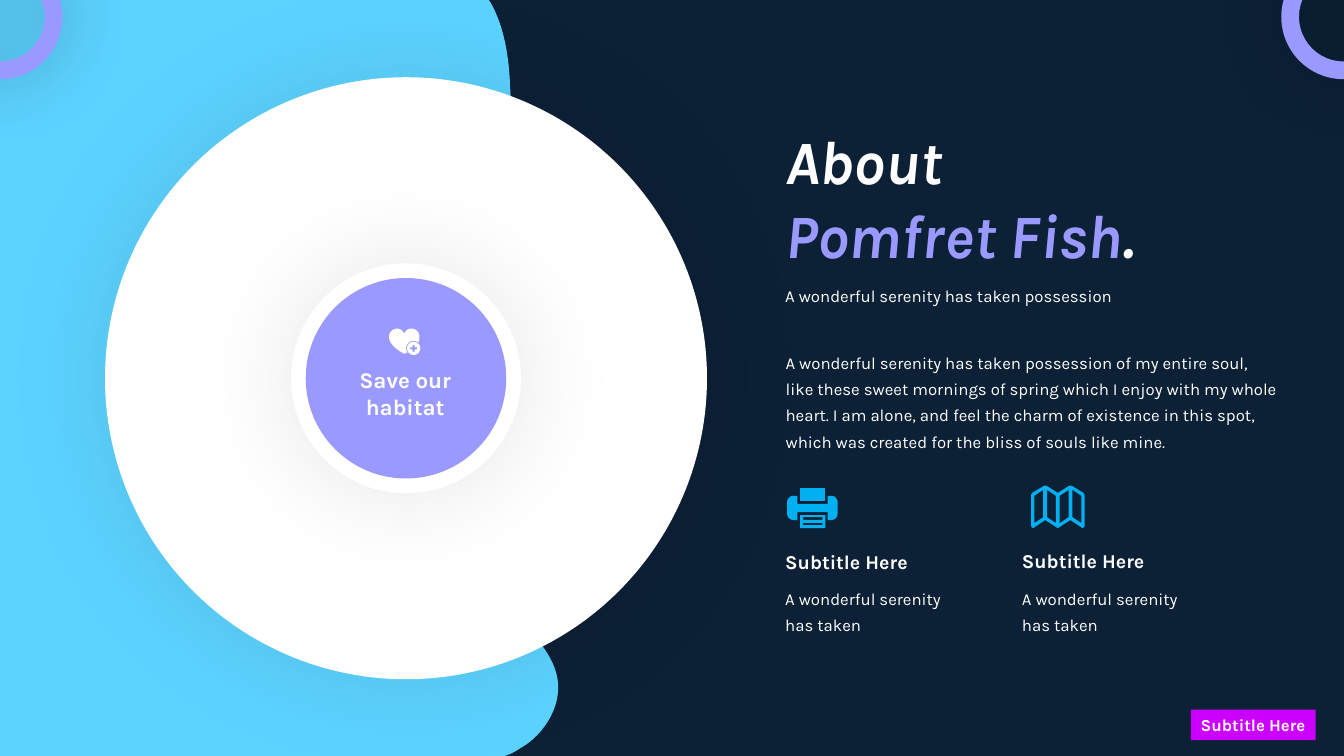
import dataclasses
import math

import pptx
import pptx.dml.color
import pptx.enum.shapes
import pptx.enum.text
import pptx.oxml.ns
import pptx.util
from lxml import etree

Point = tuple[float, float]
Loop = list[Point]

NAVY, SKY, WHITE = "0C2036", "5CD3FF", "FFFFFF"
LILAC, AZURE, MAGENTA = "9999FF", "00B0F0", "CC00FF"
KINDS = pptx.enum.shapes.MSO_SHAPE


@dataclasses.dataclass(frozen=True)
class Shadow:
    opacity: int
    blur: float


@dataclasses.dataclass(frozen=True)
class Figure:
    kind: pptx.enum.shapes.MSO_SHAPE
    left: float
    top: float
    width: float
    height: float
    fill: str
    shadow: Shadow | None = None
    adjustment: float | None = None


@dataclasses.dataclass(frozen=True)
class Span:
    text: str
    color: str = WHITE


@dataclasses.dataclass(frozen=True)
class Caption:
    left: float
    top: float
    width: float
    height: float
    paras: list[list[Span]]
    size: float = 12
    bold: bool = False
    italic: bool = False
    spacing: float | None = None
    centered: bool = False


@dataclasses.dataclass(frozen=True)
class Outline:
    fill: str
    loops: list[Loop]


def rgb(color: str) -> pptx.dml.color.RGBColor:
    return pptx.dml.color.RGBColor.from_string(color)


def curve(start: Point, *steps: tuple[float, ...]) -> Loop:
    points = [start]
    for ax, ay, bx, by, ex, ey in steps:
        sx, sy = points[-1]
        for i in range(1, 17):
            t = i / 16
            u = 1 - t
            points.append((
                u**3 * sx + 3 * u * u * t * ax + 3 * u * t * t * bx + t**3 * ex,
                u**3 * sy + 3 * u * u * t * ay + 3 * u * t * t * by + t**3 * ey,
            ))
    return points


def arc(x: float, y: float, radius: float, first: float, last: float) -> Loop:
    angles = [math.radians(first + (last - first) * i / 24) for i in range(25)]
    return [(x + radius * math.cos(a), y + radius * math.sin(a)) for a in angles]


def rectangle(left: float, top: float, right: float, bottom: float) -> Loop:
    return [(left, top), (right, top), (right, bottom), (left, bottom)]


def wave() -> Outline:
    edge = curve(
        (364.3, 538.6),
        (366.5, 537.8, 368.6, 536.4, 370.8, 535),
        (389.5, 524.9, 403.2, 501.8, 397.4, 481),
        (391.7, 459.4, 369.4, 445.7, 367.9, 424.1),
        (366.5, 401, 386.6, 384.5, 402.5, 368.6),
        (416.2, 354.2, 427, 335.5, 429.8, 314.6),
        (433.4, 293.8, 429.1, 272.2, 417.6, 255.6),
        (402.5, 235.4, 377.3, 225.4, 365.8, 203.8),
        (352.1, 179.3, 358.6, 149, 362.2, 120.2),
        (364.3, 100.8, 365.8, 79.9, 364.3, 60.5),
        (363.6, 40.3, 360, 18.7, 350.6, 2.2),
    )
    return Outline(SKY, [[(349.2, 0), (0, 0), (0, 540), (360.7, 540), *edge]])


def printer() -> list[Outline]:
    center = 580.3
    half = [(569.5, 360), (569.5, 354.2), *arc(566.8, 358.7, 4.5, 270, 180),
            *arc(566.8, 367, 4.5, 180, 90), (569.5, 371.5), (569.5, 365.8)]
    body = half + [(2 * center - x, y) for x, y in reversed(half)]
    tray = [rectangle(571.5, 367.9, 589.5, 377.3),
            rectangle(573.6, 369.4, 587.4, 371.3), rectangle(573.6, 373.5, 587.4, 375.2)]
    return [Outline(AZURE, tray), Outline(AZURE, [rectangle(571.5, 348.5, 589.5, 357.8)]),
            Outline(AZURE, [body])]


def folded_map() -> Outline:
    loops = [[(736.6, 353.5), (737.3, 352.1), (745.9, 346.9), (747.4, 346.9), (755.6, 352.1),
              (763.9, 346.9), (765.4, 346.9), (774, 352.1), (774.7, 353.5), (774.7, 376),
              (773.3, 377.3), (764.6, 371.5), (755.6, 377.3), (746.6, 371.5), (738, 377.3),
              (736.6, 376)]]
    for i in range(4):
        left = 738.8 + 9.1 * i
        first, last = (354.2, 349.9) if i % 2 == 0 else (349.9, 354.2)
        loops.append([(left, first), (left + 6.4, last), (left + 6.4, last + 19.5),
                      (left, first + 19.5)])
    return Outline(AZURE, loops)


def heart() -> list[Outline]:
    x, y, arm, bar = 295.5, 248.8, 2.5, 0.7
    plus = [(x - bar, y - arm), (x + bar, y - arm), (x + bar, y - bar), (x + arm, y - bar),
            (x + arm, y + bar), (x + bar, y + bar), (x + bar, y + arm), (x - bar, y + arm),
            (x - bar, y + bar), (x - arm, y + bar), (x - arm, y - bar), (x - bar, y - bar)]
    left_side = curve((288.7, 238.3), (287.5, 236, 286, 234.7, 283.8, 234.7),
                      (280.6, 234.7, 277.9, 237.2, 277.9, 240.5),
                      (277.9, 245.5, 283, 249.5, 288.7, 252.7))
    right_side = curve((298.8, 244.8), (299.5, 243.5, 299.6, 242, 299.6, 240.5),
                       (299.6, 237.2, 297, 234.7, 293.6, 234.7),
                       (291.4, 234.7, 289.9, 236, 288.7, 238.3))
    return [Outline(WHITE, [arc(x, y, 4.75, 0, 360), plus]),
            Outline(WHITE, [left_side + arc(x, y, 5.4, 147, 309) + right_side])]


def paint(shape, fill: str, shadow: Shadow | None = None) -> None:
    shape.shadow.inherit = False
    shape.fill.solid()
    shape.fill.fore_color.rgb = rgb(fill)
    shape.line.fill.background()
    if shadow:
        qn = pptx.oxml.ns.qn
        effects = shape._element.spPr.find(qn("a:effectLst"))
        outer = etree.SubElement(effects, qn("a:outerShdw"), dist="0", dir="0", algn="ctr",
                                 rotWithShape="0", blurRad=str(pptx.util.Pt(shadow.blur)))
        tint = etree.SubElement(outer, qn("a:srgbClr"), val="000000")
        etree.SubElement(tint, qn("a:alpha"), val=str(shadow.opacity * 1000))


def draw_outline(page, outline: Outline) -> None:
    loops = [[(pptx.util.Pt(x), pptx.util.Pt(y)) for x, y in loop] for loop in outline.loops]
    builder = page.shapes.build_freeform(*loops[0][0])
    for i, loop in enumerate(loops):
        if i:
            builder.move_to(*loop[0])
        builder.add_line_segments(loop[1:], close=True)
    paint(builder.convert_to_shape(), outline.fill)


def place(item: Figure | Caption) -> list[pptx.util.Pt]:
    return [pptx.util.Pt(v) for v in (item.left, item.top, item.width, item.height)]


def draw_figure(page, figure: Figure):
    shape = page.shapes.add_shape(figure.kind, *place(figure))
    if figure.adjustment is not None:
        shape.adjustments[0] = figure.adjustment
    paint(shape, figure.fill, figure.shadow)
    return shape


def write(box, caption: Caption, wrap: bool = True) -> None:
    frame = box.text_frame
    frame.word_wrap = wrap
    frame.auto_size = pptx.enum.text.MSO_AUTO_SIZE.SHAPE_TO_FIT_TEXT
    align = pptx.enum.text.PP_ALIGN
    for i, spans in enumerate(caption.paras):
        para = frame.add_paragraph() if i else frame.paragraphs[0]
        para.alignment = align.CENTER if caption.centered else align.LEFT
        para.line_spacing = caption.spacing
        for span in spans:
            run = para.add_run()
            run.text = span.text
            formats = {"name": "Karla", "size": pptx.util.Pt(caption.size),
                       "bold": caption.bold, "italic": caption.italic}
            for name, value in formats.items():
                setattr(run.font, name, value)
            run.font.color.rgb = rgb(span.color)


def main() -> None:
    deck = pptx.Presentation()
    deck.slide_width, deck.slide_height = pptx.util.Pt(960), pptx.util.Pt(540)
    page = deck.slides.add_slide(deck.slide_layouts[6])
    page.background.fill.solid()
    page.background.fill.fore_color.rgb = rgb(NAVY)

    glow = Shadow(9, 77)
    discs = [(75, 55.2, 430, WHITE, glow), (207.9, 188.1, 164.2, WHITE, glow),
             (218.4, 198.6, 143.2, LILAC, None)]
    rings = [Figure(KINDS.DONUT, left, -32.6, 89.2, 89.2, LILAC, Shadow(33, 49), 0.142)
             for left in (-44.6, 915.2)]
    intro = "A wonderful serenity has taken possession"
    story = (intro + " of my entire soul, like these sweet mornings of spring which I enjoy with"
             " my whole heart. I am alone, and feel the charm of existence in this spot, which was"
             " created for the bliss of souls like mine.")
    subtitle = [[Span("Subtitle Here")]]
    title = [[Span("About")], [Span("Pomfret Fish", LILAC), Span(".")]]
    captions = [
        Caption(553.8, 84.2, 375.8, 113.8, title, 44, True, True),
        Caption(553.8, 193.7, 318.2, 26.6, [[Span(intro)]], spacing=1.5),
        Caption(554.1, 244.1, 366.5, 82.8, [[Span(story)]], spacing=1.3),
        Caption(223.2, 257.8, 132.5, 46.1, [[Span("Save our habitat")]], 16, True, centered=True),
    ]
    for left, top in ((553.8, 389.1), (722.9, 388.5)):
        captions.append(Caption(left, top, 115.2, 24.5, subtitle, 14, True))
        captions.append(Caption(left, 412.6, 131.8, 43.2,
                                [[Span("A wonderful serenity has taken")]], spacing=1.3))

    draw_outline(page, wave())
    for left, top, size, fill, shadow in discs:
        draw_figure(page, Figure(KINDS.OVAL, left, top, size, size, fill, shadow))
    for caption in captions:
        write(page.shapes.add_textbox(*place(caption)), caption)
    for outline in [*printer(), folded_map(), *heart()]:
        draw_outline(page, outline)
    tag = Figure(KINDS.RECTANGLE, 850.6, 506.9, 89.3, 21.8, MAGENTA)
    write(draw_figure(page, tag),
          Caption(tag.left, tag.top, tag.width, tag.height, subtitle, bold=True), wrap=False)
    for ring in rings:
        draw_figure(page, ring)
    deck.save("out.pptx")


if __name__ == "__main__":
    main()
